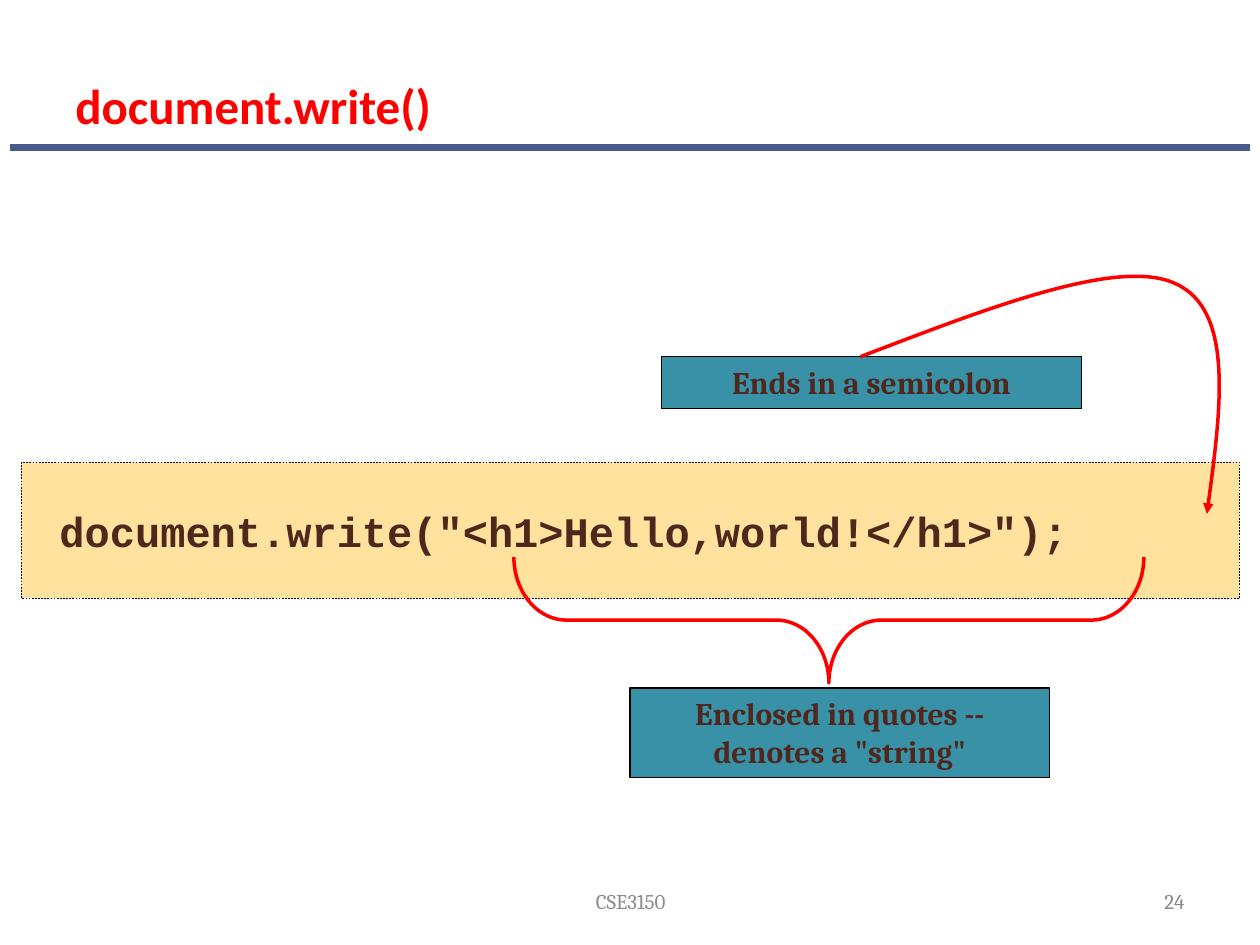
"""Build a slide that explains the parts of a document.write() statement."""
from dataclasses import dataclass

from lxml.etree import SubElement
from pptx import Presentation
from pptx.dml.color import RGBColor
from pptx.enum.dml import MSO_LINE
from pptx.enum.shapes import MSO_CONNECTOR, MSO_SHAPE
from pptx.enum.text import MSO_ANCHOR as Anchor, PP_ALIGN as Align
from pptx.oxml.ns import qn
from pptx.shapes.autoshape import Shape
from pptx.slide import Slide
from pptx.util import Cm, Pt


@dataclass(frozen=True)
class TextStyle:
    font: str
    size: float
    color: str
    bold: bool = False


@dataclass(frozen=True)
class Theme:
    rule: str = "475A8D"
    accent: str = "FF0000"
    label_fill: str = "3891A7"
    code_fill: str = "FEB80A"
    code_opacity: int = 40
    outline: str = "000000"
    rule_width: float = 4
    accent_width: float = 2
    label_width: float = 0.75
    code_width: float = 0.25
    title: TextStyle = TextStyle("Calibri", 28, "FF0000", True)
    code: TextStyle = TextStyle("Courier New", 24, "4F271C", True)
    label: TextStyle = TextStyle("Cambria", 18, "4F271C", True)
    number: TextStyle = TextStyle("Cambria", 12, "898989")
    footer: TextStyle = TextStyle("Cambria", 12, "8C8C8C")


@dataclass(frozen=True)
class Box:
    left: float
    top: float
    width: float
    height: float

    def lengths(self) -> tuple[Cm, Cm, Cm, Cm]:
        """Return the position and size as lengths."""
        return Cm(self.left), Cm(self.top), Cm(self.width), Cm(self.height)


@dataclass(frozen=True)
class TextItem:
    text: str
    box: Box
    style: TextStyle
    align: Align
    anchor: Anchor = Anchor.MIDDLE


@dataclass(frozen=True)
class Label:
    text: str
    box: Box


THEME = Theme()
TEXT_ITEMS = (
    TextItem("document.write()", Box(1.27, 0.86, 22.86, 1.98), THEME.title, Align.LEFT, Anchor.BOTTOM),
    TextItem("CSE3150", Box(8.69, 17.65, 8.05, 1.02), THEME.footer, Align.CENTER),
    TextItem("24", Box(18.21, 17.65, 5.92, 1.02), THEME.number, Align.RIGHT),
)
CODE = 'document.write("<h1>Hello,world!</h1>");'
CODE_BOX = Box(0.43, 9.32, 24.56, 2.74)
CODE_INSET = 0.77
BRACE_BOX = Box(15.44, 6.15, 2.54, 12.7)
LABELS = (
    Label('Enclosed in quotes -- denotes a "string"', Box(12.7, 13.87, 8.46, 1.8)),
    Label("Ends in a semicolon", Box(13.34, 7.19, 8.46, 1.04)),
)
ARROW_POINTS = (
    (17.35, 7.19), (19.94, 6.2), (22.56, 5.18), (23.7, 5.72),
    (24.87, 6.25), (24.61, 8.31), (24.33, 10.36),
)


def write_text(shape: Shape, text: str, style: TextStyle, align: Align, anchor: Anchor) -> None:
    """Fill a shape with one formatted paragraph."""
    frame = shape.text_frame
    frame.text = text
    frame.word_wrap = True
    frame.vertical_anchor = anchor
    paragraph = frame.paragraphs[0]
    paragraph.alignment = align
    font = paragraph.runs[0].font
    font.name, font.size, font.bold = style.font, Pt(style.size), style.bold
    font.color.rgb = RGBColor.from_string(style.color)


def style_line(shape: Shape, color: str, width: float) -> None:
    """Set the outline colour and width."""
    shape.line.color.rgb = RGBColor.from_string(color)
    shape.line.width = Pt(width)


def style_accent(shape: Shape) -> None:
    """Give a shape the accent outline without fill or shadow."""
    shape.shadow.inherit = False
    shape.fill.background()
    style_line(shape, THEME.accent, THEME.accent_width)


def add_rectangle(slide: Slide, box: Box, fill: str, line_width: float) -> Shape:
    """Add a filled and outlined rectangle."""
    shape = slide.shapes.add_shape(MSO_SHAPE.RECTANGLE, *box.lengths())
    shape.shadow.inherit = False
    shape.fill.solid()
    shape.fill.fore_color.rgb = RGBColor.from_string(fill)
    style_line(shape, THEME.outline, line_width)
    return shape


def add_text(slide: Slide, item: TextItem) -> None:
    """Add a text box."""
    shape = slide.shapes.add_textbox(*item.box.lengths())
    write_text(shape, item.text, item.style, item.align, item.anchor)


def add_rule(slide: Slide) -> None:
    """Add the rule below the title."""
    rule = slide.shapes.add_connector(MSO_CONNECTOR.STRAIGHT, Cm(0.2), Cm(2.97), Cm(25.2), Cm(2.97))
    style_line(rule, THEME.rule, THEME.rule_width)
    SubElement(rule._element.spPr, qn("a:effectLst"))


def add_code(slide: Slide) -> None:
    """Add the translucent panel with the statement."""
    panel = add_rectangle(slide, CODE_BOX, THEME.code_fill, THEME.code_width)
    panel.line.dash_style = MSO_LINE.DASH
    color = panel._element.spPr.find(qn("a:solidFill")).find(qn("a:srgbClr"))
    SubElement(color, qn("a:alpha"), val=str(THEME.code_opacity * 1000))
    write_text(panel, CODE, THEME.code, Align.LEFT, Anchor.MIDDLE)
    panel.text_frame.margin_left = Cm(CODE_INSET)


def add_brace(slide: Slide) -> None:
    """Add the brace below the quoted string."""
    brace = slide.shapes.add_shape(MSO_SHAPE.LEFT_BRACE, *BRACE_BOX.lengths())
    brace.rotation = 270
    brace.adjustments[0] = 0.417
    brace.adjustments[1] = 0.5
    style_accent(brace)


def add_label(slide: Slide, label: Label) -> None:
    """Add an explanatory label."""
    shape = add_rectangle(slide, label.box, THEME.label_fill, THEME.label_width)
    write_text(shape, label.text, THEME.label, Align.CENTER, Anchor.TOP)


def add_curved_arrow(slide: Slide) -> None:
    """Add the arrow to the semicolon, with each three points as one Bezier segment."""
    start, *others = [(Cm(x), Cm(y)) for x, y in ARROW_POINTS]
    builder = slide.shapes.build_freeform(*start)
    builder.add_line_segments(others, close=False)
    arrow = builder.convert_to_shape()
    style_accent(arrow)
    outline = next(arrow._element.iter(qn("a:path")))
    segments = outline.findall(qn("a:lnTo"))
    for index in range(0, len(segments), 3):
        curve = SubElement(outline, qn("a:cubicBezTo"))
        for segment in segments[index:index + 3]:
            curve.append(segment[0])
            outline.remove(segment)
    SubElement(arrow.line._get_or_add_ln(), qn("a:tailEnd"), type="triangle")


def main() -> None:
    """Build and save the presentation."""
    presentation = Presentation()
    presentation.slide_width, presentation.slide_height = Cm(25.4), Cm(19.05)
    slide = presentation.slides.add_slide(presentation.slide_layouts[6])
    add_rule(slide)
    for item in TEXT_ITEMS:
        add_text(slide, item)
    add_code(slide)
    add_brace(slide)
    for label in LABELS:
        add_label(slide, label)
    add_curved_arrow(slide)
    presentation.save("out.pptx")


if __name__ == "__main__":
    main()
